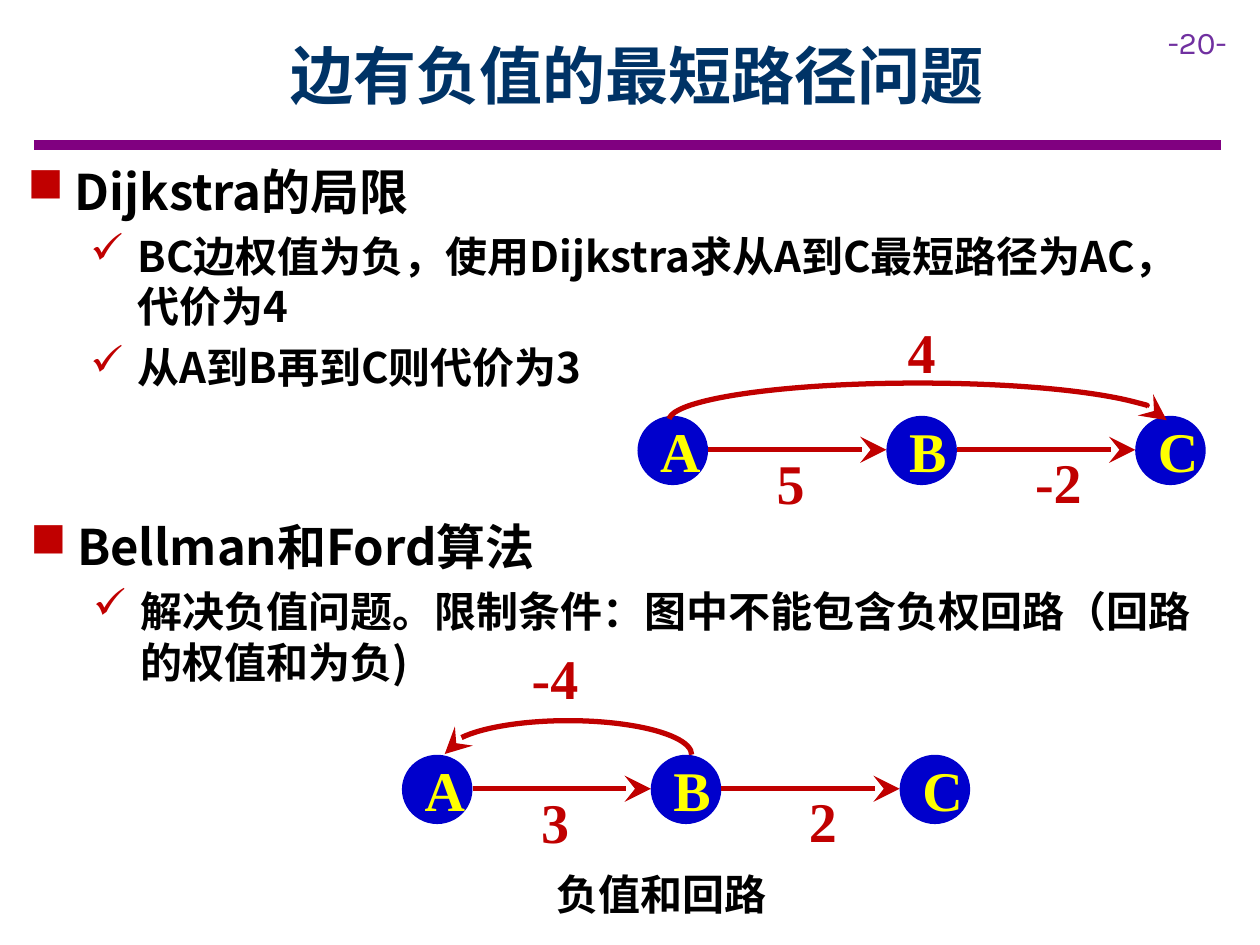
import pptx
import pptx.util
import pptx.dml.color
import pptx.enum.shapes
import pptx.enum.text
import pptx.oxml.ns
from lxml import etree

CELL = 0.1  # grid cell in inches: 100 columns by 75 rows
SANS, SERIF = "Noto Sans CJK SC", "Times New Roman"
RED, BLUE, NAVY = "C00000", "0000CC", "003366"
YELLOW, PURPLE, VIOLET = "FFFF00", "800080", "7030A0"
BLACK, WHITE = "000000", "FFFFFF"
KIND = pptx.enum.shapes.MSO_SHAPE
ALIGN = pptx.enum.text.PP_ALIGN
MIDDLE = pptx.enum.text.MSO_ANCHOR.MIDDLE
GROW = pptx.enum.text.MSO_AUTO_SIZE.SHAPE_TO_FIT_TEXT


def grid(*cells):
    return [pptx.util.Inches(n * CELL) for n in cells]


def tint(code):
    return pptx.dml.color.RGBColor.from_string(code)


def node(parent, tag, **attrs):
    child = etree.SubElement(parent, pptx.oxml.ns.qn(tag))
    for key, val in attrs.items():
        child.set(key, str(val))
    return child


class Deck:
    def __init__(self):
        self.prs = pptx.Presentation()
        self.prs.slide_width, self.prs.slide_height = grid(100, 75)
        self.slide = self.prs.slides.add_slide(self.prs.slide_layouts[5])
        self.shapes = self.slide.shapes

    def add_text(self, par, text, size, color, font=SANS, bold=True):
        run = par.add_run()
        run.text = text
        face = run.font
        face.size, face.bold, face.name = pptx.util.Pt(size), bold, font
        face.color.rgb = tint(color)
        node(run._r.get_or_add_rPr(), "a:ea", typeface=font)

    def title(self, text, *area):
        shape = self.shapes.title
        shape.left, shape.top, shape.width, shape.height = grid(*area)
        shape.text_frame.vertical_anchor = MIDDLE
        par = shape.text_frame.paragraphs[0]
        par.alignment = ALIGN.CENTER
        self.add_text(par, text, 36, NAVY)

    def box(self, *area):
        frame = self.shapes.add_textbox(*grid(*area)).text_frame
        frame.word_wrap, frame.auto_size = True, GROW
        return frame

    def indent(self, par, left, hang):
        par.space_after = pptx.util.Pt(6)
        props = par._p.get_or_add_pPr()
        for key, val in zip(("marL", "indent"), grid(left, hang)):
            props.set(key, str(val))
        return props

    def points(self, head, items, *area):
        """Set a heading with a square and items with ticks."""
        frame = self.box(*area)
        rows = [(head, "■", 28, 3.75)] + [(t, "✓", 24, 8.75) for t in items]
        for i, (text, mark, size, left) in enumerate(rows):
            par = frame.add_paragraph() if i else frame.paragraphs[0]
            par.level = min(i, 1)
            props = self.indent(par, left, -3.75)
            node(node(props, "a:buClr"), "a:srgbClr", val=RED)
            node(props, "a:buChar", char=mark)
            self.add_text(par, text, size, BLACK)

    def stroke(self, shape, color, width, end=None):
        shape.line.color.rgb = tint(color)
        shape.line.width = pptx.util.Pt(width)
        if end:
            node(shape.line._get_or_add_ln(), "a:" + end,
                 type="stealth", w="lg", len="lg")

    def line(self, x1, y1, x2, y2, color=RED, width=3, end="tailEnd"):
        link = self.shapes.add_connector(
            pptx.enum.shapes.MSO_CONNECTOR.STRAIGHT, *grid(x1, y1, x2, y2))
        self.stroke(link, color, width, end)
        node(link._element.spPr, "a:effectLst")

    def arc(self, end, *area):
        """Draw the upper half of an ellipse with an arrowhead."""
        bow = self.shapes.add_shape(KIND.ARC, *grid(*area))
        bow.shadow.inherit = False
        bow.adjustments[0], bow.adjustments[1] = 108.18, 0
        bow.fill.background()
        self.stroke(bow, RED, 3, end)

    def badge(self, kind, text, fill, color, inset, *area):
        shape = self.shapes.add_shape(kind, *grid(*area))
        shape.shadow.inherit = False
        shape.line.fill.background()
        if fill:
            shape.fill.solid()
            shape.fill.fore_color.rgb = tint(fill)
        else:
            shape.fill.background()
        frame = shape.text_frame
        frame.word_wrap, frame.vertical_anchor = True, MIDDLE
        frame.margin_left, frame.margin_right = grid(inset, inset)
        frame.margin_top, frame.margin_bottom = grid(1, 1)
        par = frame.paragraphs[0]
        par.alignment = ALIGN.CENTER
        self.add_text(par, text, 32, color, SERIF)

    def graph(self, x, y, costs, bow, end, top):
        """Draw A to B to C; bow and top are offsets from A's corner."""
        step, wide, high = 19.75, 5.6, 5.5
        for i, name in enumerate("ABC"):
            self.badge(KIND.OVAL, name, BLUE, YELLOW, 1,
                       x + i * step, y, wide, high)
        for i in range(2):
            left = x + i * step
            self.line(left + wide, y + 2.7, left + step, y + 2.7)
        self.arc(end, x + bow[0], y + bow[1], *bow[2:])
        labels = [(costs[0], WHITE, 9.9, 3.25, 4.5, 4.1),
                  (costs[1], None, 30, 2.5, 6.8, 5.4),
                  (costs[2], WHITE, *top, 4.5, 4.1)]
        for text, fill, dx, dy, w, h in labels:
            self.badge(KIND.RECTANGLE, text, fill, RED, 0, x + dx, y + dy, w, h)


def main():
    deck = Deck()
    deck.line(2.7, 11.5, 96.9, 11.5, PURPLE, 6, None)
    deck.add_text(deck.box(91.7, 1.3, 8.3, 4).paragraphs[0],
                  "-20-", 18, VIOLET, "Karla", False)
    deck.title("边有负值的最短路径问题", 9, 0.9, 83.1, 10)
    deck.points("Dijkstra的局限",
                ["BC边权值为负，使用Dijkstra求从A到C最短路径为AC，代价为4",
                 "从A到B再到C则代价为3"], 1.2, 12.3, 95.3, 19.5)
    deck.graph(50.6, 33, ("5", "-2", "4"), (2.5, -2.6, 39.5, 5.9),
               "tailEnd", (20.3, -7.2))
    deck.points("Bellman和Ford算法",
                ["解决负值问题。限制条件：图中不能包含负权回路（回路的权值和为负)"],
                1.4, 40.5, 95.3, 14.6)
    deck.graph(31.9, 59.9, ("3", "2", "-4"), (3.4, -2.7, 19.6, 5.4),
               "headEnd", (9.9, -8.2))
    par = deck.box(38.2, 68.4, 26, 5).paragraphs[0]
    par.level = 1
    deck.indent(par, 5, 0)
    deck.add_text(par, "负值和回路", 24, BLACK)
    deck.prs.save("out.pptx")


if __name__ == "__main__":
    main()
